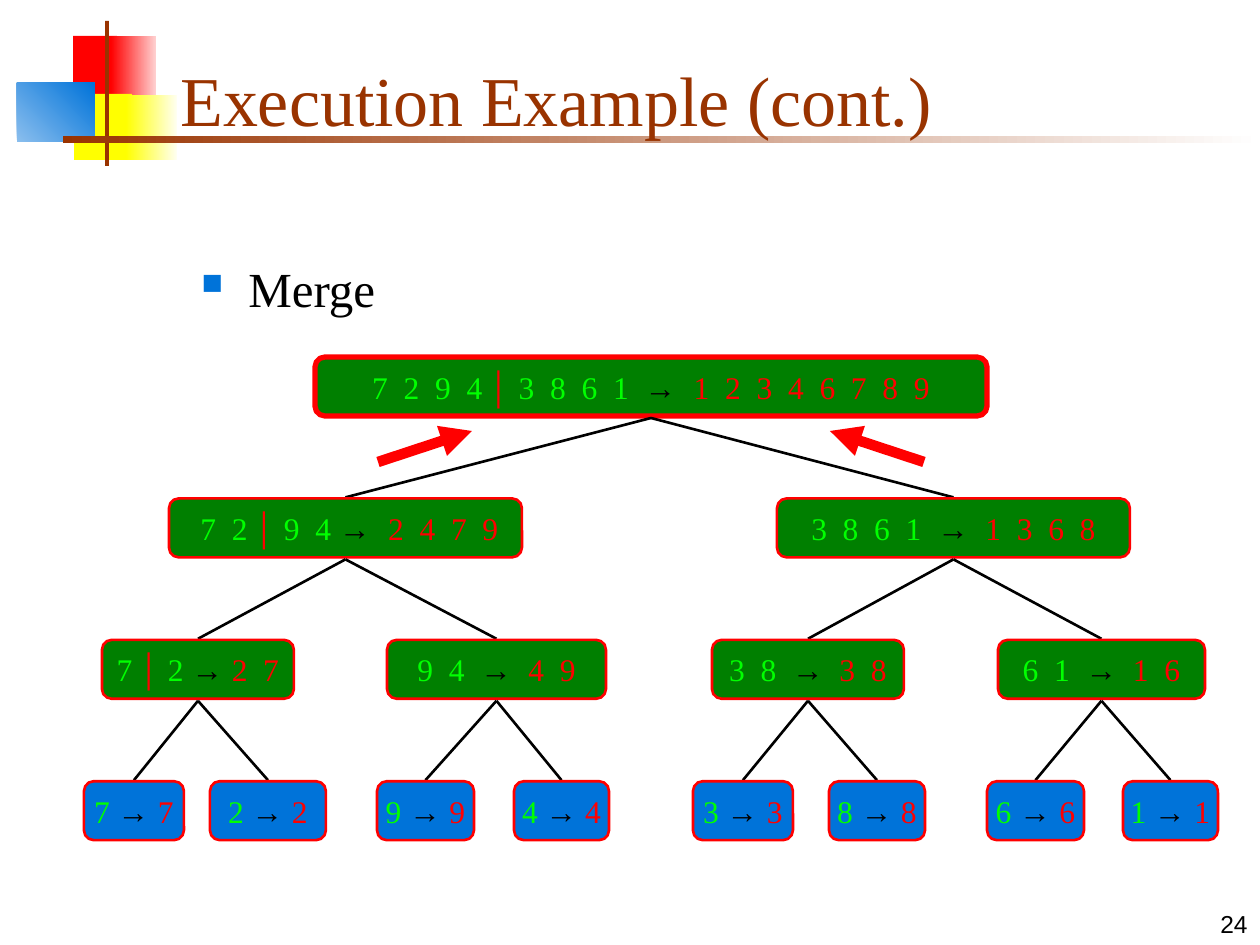
from dataclasses import dataclass

from lxml import etree
from pptx import Presentation
from pptx import util as u
from pptx.dml import color
from pptx.enum import shapes, text
from pptx.oxml import ns

SCALE = 914400 / 126
SERIF, SANS = "Times New Roman", "Arial"
BLACK, RED, BROWN, BLUE = "000000", "FF0000", "993300", "0073D9"
GREEN, LIME, YELLOW = "007F00", "00FF00", "FFFF00"
ROW_TOP, ROW_STEP, NODE_HEIGHT = 357, 141.4, 59


@dataclass
class Block:
    """A rectangle of the corner ornament, with one colour or a gradient."""
    left: int
    top: int
    width: int
    height: int
    colours: tuple[str, ...]
    angle: int = 0


@dataclass
class Node:
    """A box of the merge tree; bars in the label part its runs."""
    left: int
    width: int
    label: str

    @property
    def middle(self) -> float:
        return self.left + self.width / 2


BLOCKS = [
    Block(73, 36, 44, 65, (RED,)),
    Block(111, 36, 45, 65, (RED, "FFD1D1")),
    Block(74, 94, 58, 66, (YELLOW,)),
    Block(126, 95, 51, 65, (YELLOW, "FFFFF0")),
    Block(17, 83, 78, 59, ("8BBFEE", BLUE), 45),
    Block(105, 21, 4, 145, (BROWN,)),
    Block(63, 136, 1197, 7, (BROWN, "FFFFFF")),
]
LEVELS = [
    [Node(315, 672, "7  2  9  4 |│ |3  8  6  1  |→  |1  2  3  4  6  7  8  9")],
    [Node(169, 353, " 7  2 |│ |9  4 |→  |2  4  7  9"),
     Node(777, 353, "3  8  6  1  |→ | 1  3  6  8")],
    [Node(102, 192, "7 |│| 2 |→ |2  7"), Node(387, 219, "9  4  |→ | 4  9"),
     Node(712, 192, "3  8  |→|  3  8"), Node(998, 207, "6  1  |→|  1  6")],
    [Node(84, 100, "7 |→ |7"), Node(210, 116, "2 |→ |2"),
     Node(377, 97, "9 |→ |9"), Node(514, 95, "4 |→| 4"),
     Node(693, 100, "3 |→ |3"), Node(829, 96, "8 |→ |8"),
     Node(987, 97, "6 |→ |6"), Node(1123, 95, "1 |→ |1")],
]


def px(*lengths: float) -> list[u.Emu]:
    return [u.Emu(round(length * SCALE)) for length in lengths]


def rgb(code: str) -> color.RGBColor:
    return color.RGBColor.from_string(code)


def add_span(para, wording: str, *, size: float, colour: str, font: str = SERIF, bold: bool = False) -> None:
    span = para.add_run()
    span.text = wording
    span.font.size, span.font.name, span.font.bold = u.Pt(size), font, bold
    span.font.color.rgb = rgb(colour)


def add_text(page, left: int, top: int, width: int, height: int, wording: str, *,
             anchor=text.MSO_ANCHOR.BOTTOM, align=text.PP_ALIGN.LEFT, **style):
    frame = page.shapes.add_textbox(*px(left, top, width, height)).text_frame
    frame.word_wrap, frame.vertical_anchor = True, anchor
    para = frame.paragraphs[0]
    para.alignment = align
    add_span(para, wording, **style)
    return para


def add_bullet(para, mark: str, colour: str, percent: int, indent: int) -> None:
    props = para._p.get_or_add_pPr()
    props.set("marL", str(px(indent)[0]))
    props.set("indent", str(px(-indent)[0]))
    tint = etree.SubElement(props, ns.qn("a:buClr"))
    etree.SubElement(tint, ns.qn("a:srgbClr"), val=colour)
    etree.SubElement(props, ns.qn("a:buSzPct"), val=str(percent * 1000))
    etree.SubElement(props, ns.qn("a:buChar"), char=mark)


def add_line(page, start: tuple[float, float], end: tuple[float, float],
             colour: str = BLACK, width: float = 1.5, arrow: bool = False) -> None:
    line = page.shapes.add_connector(shapes.MSO_CONNECTOR.STRAIGHT, *px(*start, *end))
    line.line.color.rgb, line.line.width = rgb(colour), u.Pt(width)
    etree.SubElement(line._element.spPr, ns.qn("a:effectLst"))
    if arrow:
        etree.SubElement(line.line._get_or_add_ln(), ns.qn("a:tailEnd"), type="triangle")


def add_block(page, block: Block) -> None:
    box = page.shapes.add_shape(shapes.MSO_SHAPE.RECTANGLE,
                                *px(block.left, block.top, block.width, block.height))
    box.shadow.inherit = False
    box.line.fill.background()
    if len(block.colours) == 1:
        box.fill.solid()
        box.fill.fore_color.rgb = rgb(block.colours[0])
        return
    box.fill.gradient()
    box.fill.gradient_angle = block.angle
    for stop, colour, position in zip(box.fill.gradient_stops, block.colours, (0, 1)):
        stop.color.rgb, stop.position = rgb(colour), position


def add_node(page, node: Node, top: float, fill: str, border: float) -> None:
    box = page.shapes.add_shape(shapes.MSO_SHAPE.ROUNDED_RECTANGLE,
                                *px(node.left, top, node.width, NODE_HEIGHT))
    box.shadow.inherit = False
    box.fill.solid()
    box.fill.fore_color.rgb = rgb(fill)
    box.line.color.rgb, box.line.width = rgb(RED), u.Pt(border)
    frame = box.text_frame
    frame.word_wrap, frame.vertical_anchor = False, text.MSO_ANCHOR.MIDDLE
    para = frame.paragraphs[0]
    para.alignment = text.PP_ALIGN.CENTER
    number_colour = LIME
    for part in node.label.split("|"):
        if "→" in part:
            add_span(para, part, size=18, colour=BLACK, font=SANS, bold=True)
            number_colour = RED
        elif "│" in part:
            add_span(para, part, size=18, colour=RED, font=SANS, bold=True)
        else:
            add_span(para, part, size=18, colour=number_colour)


def add_tree(page) -> None:
    for depth, level in enumerate(LEVELS):
        top = ROW_TOP + depth * ROW_STEP
        leaf = depth == len(LEVELS) - 1
        for index, node in enumerate(level):
            if depth:
                parent = LEVELS[depth - 1][index // 2]
                parent_bottom = top - ROW_STEP + NODE_HEIGHT
                add_line(page, (parent.middle, parent_bottom + 2), (node.middle, top - 1))
            add_node(page, node, top, BLUE if leaf else GREEN, 1.5 if depth else 3)


def build() -> None:
    """Build the merge sort slide and save it."""
    deck = Presentation()
    deck.slide_width, deck.slide_height = px(1260, 945)
    page = deck.slides.add_slide(deck.slide_layouts[6])
    for block in BLOCKS:
        add_block(page, block)
    add_text(page, 998, 882, 262, 63, "24", align=text.PP_ALIGN.RIGHT, size=14, colour=BLACK, font=SANS)
    add_text(page, 168, 32, 1073, 115, "Execution Example (cont.)", size=40, colour=BROWN)
    merge = add_text(page, 189, 252, 1071, 95, "Merge", anchor=text.MSO_ANCHOR.TOP, size=28, colour=BLACK)
    merge.space_before = u.Pt(7)
    add_bullet(merge, "■", BLUE, 60, 47)
    add_tree(page)
    for tail, tip in ((378, 472), (924, 830)):
        add_line(page, (tail, 462), (tip, 431), RED, 6, arrow=True)
    deck.save("out.pptx")


build()
